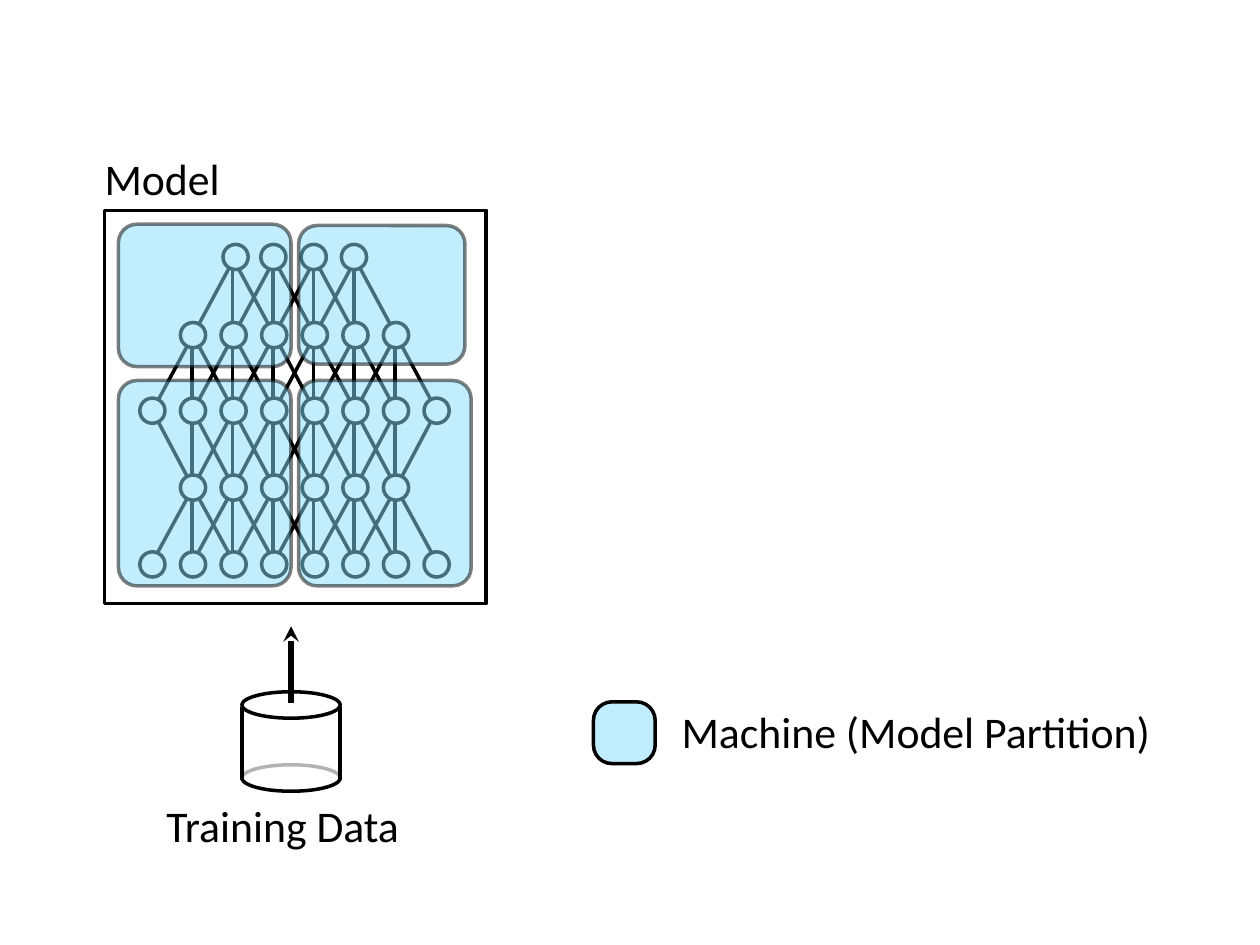
import pptx
import pptx.util
import pptx.dml.color
import pptx.enum.shapes
import pptx.enum.text
import pptx.oxml.ns
from lxml import etree

Inches, Pt = pptx.util.Inches, pptx.util.Pt
RGB = pptx.dml.color.RGBColor
KIND = pptx.enum.shapes.MSO_SHAPE
qn = pptx.oxml.ns.qn

BLACK = RGB(0, 0, 0)
WHITE = RGB(255, 255, 255)
SKY = RGB(0x84, 0xDD, 0xFD)
PALE = RGB(0xC0, 0xED, 0xFE)
FONT, SIZE = "Calibri", 25

# Network grid: column pitch, first column, and dot size
LEFT, STEP, DOT = 1.21, 0.32, 0.2
COLS = [LEFT + STEP * 1.007 * i for i in range(8)]
EDGE_Y = [2.06, 2.66, 3.26, 3.87, 4.46]
LAYERS = [  # centre y of the dots, centre x of each dot
    (2.04, [1.87, 2.17, 2.49, 2.81]),
    (2.66, COLS[1:7]),
    (3.26, COLS),
    (3.87, COLS[1:7]),
    (4.48, COLS),
]
FANS = [  # hub row, far row, hub columns; each hub meets three neighbours
    (0, 1, range(2, 6)),
    (1, 2, range(1, 7)),
    (3, 2, range(1, 7)),
    (3, 4, range(1, 7)),
]
PARTS = [  # left, top, width, height, corner
    (0.94, 1.78, 1.37, 1.13, 0.129),
    (2.37, 1.79, 1.32, 1.1, 0.133),
    (0.94, 3.02, 1.37, 1.63, 0.107),
    (2.37, 3.02, 1.37, 1.63, 0.107),
]
FRAME = (0.83, 1.67, 3.03, 3.12)
DRUM_X, DRUM_W, LID_H = 1.92, 0.78, 0.21


def fade(shape, share):
    """Make every colour of the shape partly transparent."""
    for clr in shape._element.spPr.iter(qn("a:srgbClr")):
        etree.SubElement(clr, qn("a:alpha")).set("val", str(share * 1000))


def draw(home, kind, box, fill=None, line=BLACK, corner=None):
    shape = home.add_shape(kind, *map(Inches, box))
    shape.shadow.inherit = False
    if corner is not None:
        shape.adjustments[0] = corner
    if fill is None:
        shape.fill.background()
    else:
        shape.fill.solid()
        shape.fill.fore_color.rgb = fill
    if line is None:
        shape.line.fill.background()
    else:
        shape.line.color.rgb = line
        shape.line.width = Pt(2)
    return shape


def join(home, start, end, width=2):
    ends = [Inches(v) for v in (*start, *end)]
    line = home.add_connector(pptx.enum.shapes.MSO_CONNECTOR.STRAIGHT, *ends)
    line.line.color.rgb = BLACK
    line.line.width = Pt(width)
    etree.SubElement(line._element.spPr, qn("a:effectLst"))
    return line


def label(home, text, box):
    area = home.add_textbox(*map(Inches, box))
    frame = area.text_frame
    frame.margin_left = frame.margin_right = 0
    frame.margin_top = frame.margin_bottom = 0
    frame.word_wrap = False
    frame.auto_size = pptx.enum.text.MSO_AUTO_SIZE.SHAPE_TO_FIT_TEXT
    frame.vertical_anchor = pptx.enum.text.MSO_ANCHOR.MIDDLE
    run = frame.paragraphs[0].add_run()
    run.text = text
    run.font.name, run.font.size = FONT, Pt(SIZE)
    run.font.color.rgb = BLACK


def network(home):
    for hub, far, cols in FANS:
        top, end = EDGE_Y[hub], EDGE_Y[far]
        trim = 0.06 if end > top else -0.06
        for c in cols:
            x = COLS[c]
            for side in (c - 1, c + 1):
                join(home, (x, top), (COLS[side], end))
            join(home, (x - 0.01, end - trim), (x - 0.01, top + trim))
    for y, xs in LAYERS:
        for x in xs:
            draw(home, KIND.OVAL, (x - DOT / 2, y - DOT / 2, DOT, DOT), WHITE)


def drum(home):
    draw(home, KIND.OVAL, (DRUM_X, 6.07, DRUM_W, LID_H))
    body = draw(home, KIND.RECTANGLE, (DRUM_X, 5.62, DRUM_W, 0.55), WHITE, None)
    fade(body, 70)
    draw(home, KIND.OVAL, (DRUM_X, 5.49, DRUM_W, LID_H))
    for x in (DRUM_X, DRUM_X + DRUM_W):
        join(home, (x, 5.61), (x, 6.19))
    mid = DRUM_X + DRUM_W / 2
    arrow = join(home, (mid, 4.97), (mid, 5.58), 3)
    ln = arrow._element.spPr.find(qn("a:ln"))
    etree.SubElement(ln, qn("a:headEnd")).set("type", "stealth")
    label(home, "Training Data", (1.32, 6.33, 2.12, 0.43))


def main():
    deck = pptx.Presentation()
    deck.slide_width, deck.slide_height = Inches(10), Inches(7.5)
    page = deck.slides.add_slide(deck.slide_layouts[6]).shapes

    network(page.add_group_shape().shapes)
    label(page, "Model", (0.83, 1.2, 0.97, 0.43))
    for *box, corner in PARTS:
        fade(draw(page, KIND.ROUNDED_RECTANGLE, box, SKY, corner=corner), 50)
    draw(page, KIND.RECTANGLE, FRAME)
    drum(page.add_group_shape().shapes)

    key = page.add_group_shape().shapes
    draw(key, KIND.ROUNDED_RECTANGLE, (4.71, 5.57, 0.49, 0.49), PALE, corner=0.3)
    label(key, "Machine (Model Partition)", (5.41, 5.59, 4.04, 0.43))
    deck.save("out.pptx")


if __name__ == "__main__":
    main()
